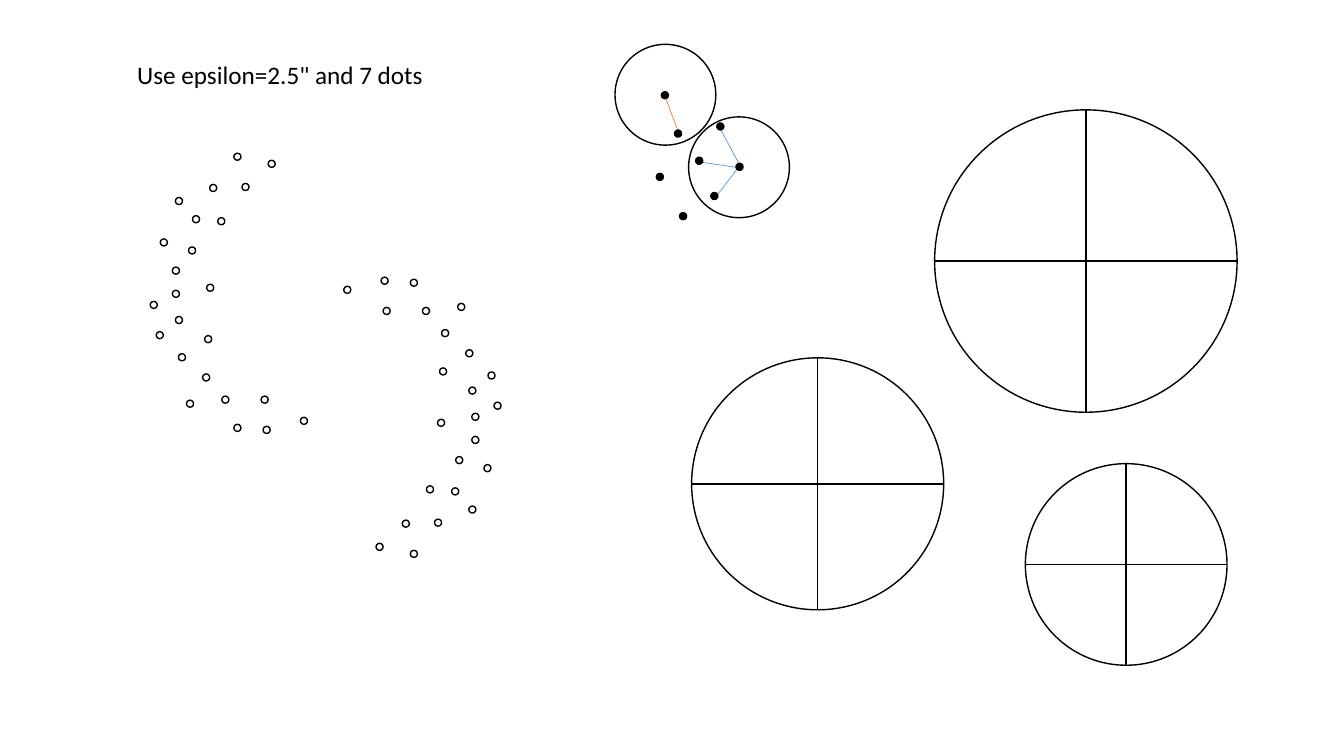
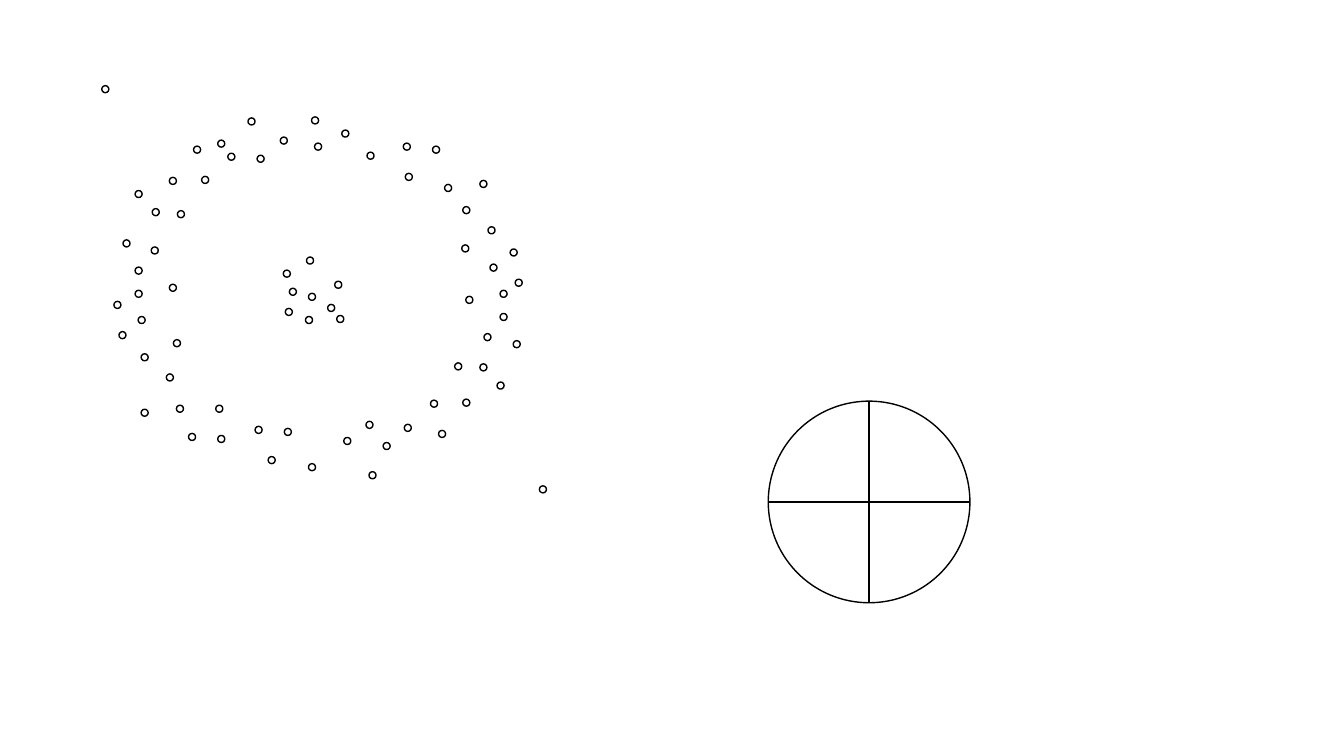
from lxml.etree import SubElement
from pptx import Presentation
from pptx.dml.color import RGBColor
from pptx.enum.shapes import MSO_CONNECTOR as Connector, MSO_SHAPE as Preset
from pptx.enum.text import MSO_ANCHOR as Anchor, MSO_AUTO_SIZE as AutoSize, PP_ALIGN as Align
from pptx.oxml.ns import qn
from pptx.util import Inches, Pt

BLACK = RGBColor(0x00, 0x00, 0x00)
WHITE = RGBColor(0xFF, 0xFF, 0xFF)
BLUE = RGBColor(0x5B, 0x9B, 0xD5)
ORANGE = RGBColor(0xED, 0x7D, 0x31)

TITLE_ONLY, BLANK = 5, 6
DOT_SIZE = 0.07

RIGHT_MOON = [
    (4.52, 4.53), (4.68, 4.1), (4.07, 5.46), (4.34, 4.16), (4.62, 3.47), (4.36, 3.65),
    (3.41, 2.84), (3.73, 5.39), (4.31, 5.15), (4.07, 2.77), (4.68, 4.33), (4.38, 3.27),
    (3.78, 2.75), (4.65, 5.02), (3.8, 3.05), (4.48, 4.84), (3.99, 5.16), (4.65, 3.84),
    (4.19, 3.05), (4.23, 4.82), (4.54, 3.01), (4.84, 3.69), (4.9, 3.99), (4.8, 4.61),
]
LEFT_MOON = [(6.39 - x, 6.98 - y) for x, y in RIGHT_MOON]

SAMPLE_DOTS = [
    (7.05, 1.91), (6.51, 1.72), (6.74, 2.11), (6.56, 0.91),
    (6.9, 1.56), (7.11, 1.22), (7.3, 1.62), (6.69, 1.29),
]
NEIGHBOUR_LINES = [
    ((7.15, 1.29), (7.36, 1.68), BLUE),
    ((6.96, 1.61), (7.3, 1.66), BLUE),
    ((7.31, 1.68), (7.11, 1.94), BLUE),
    ((6.6, 0.97), (6.74, 1.34), ORANGE),
]

RING_RIGHT = [
    (4.8, 3.31), (4.96, 2.88), (4.35, 4.27), (4.62, 2.94), (4.84, 2.25), (4.58, 2.43),
    (3.64, 1.51), (4.01, 4.21), (4.59, 3.96), (4.29, 1.45), (4.96, 3.11), (4.59, 2.05),
    (4, 1.42), (4.93, 3.79), (4.02, 1.72), (4.76, 3.61), (4.27, 3.97), (4.86, 2.62),
    (4.41, 1.83), (4.51, 3.6), (4.76, 1.79), (5.06, 2.47), (5.11, 2.77), (5.09, 3.38),
]
RING_LEFT = [
    (1.5, 2.45), (1.34, 2.88), (1.92, 1.45), (1.68, 2.82), (1.4, 3.51), (1.72, 3.37),
    (2.53, 4.23), (2.26, 1.52), (1.68, 1.76), (1.87, 4.3), (1.34, 2.65), (1.65, 3.71),
    (2.16, 4.32), (1.34, 1.89), (2.14, 4.02), (1.51, 2.07), (2, 1.75), (1.37, 3.14),
    (1.75, 4.02), (1.76, 2.09), (1.4, 4.06), (1.18, 3.29), (1.13, 2.99), (1.22, 2.38),
]
RING_TOP = [
    (2.16, 1.39), (2.55, 1.54), (2.46, 1.17), (2.78, 1.36),
    (3.09, 1.16), (3.12, 1.42), (3.39, 1.29),
]
RING_BOTTOM = [
    (2.66, 4.53), (2.82, 4.25), (3.06, 4.6), (3.41, 4.34),
    (3.66, 4.68), (3.8, 4.39), (3.63, 4.18),
]
CORE = [
    (2.87, 2.86), (3.03, 3.14), (3.06, 2.91), (3.32, 2.79), (3.34, 3.13),
    (3.04, 2.55), (2.83, 3.06), (3.25, 3.02), (2.81, 2.68),
]
OUTLIERS = [(5.35, 4.82), (1.01, 0.85)]


def apply_format(target, values):
    for name, value in values.items():
        setattr(target, name, value)


class Deck:
    title_frame = {"word_wrap": False, "auto_size": AutoSize.SHAPE_TO_FIT_TEXT,
                   "vertical_anchor": Anchor.TOP}
    title_font = {"name": "Calibri", "size": Pt(18), "bold": False}

    def __init__(self):
        self.presentation = Presentation()
        apply_format(self.presentation,
                     {"slide_width": Inches(13.33), "slide_height": Inches(7.5)})
        self.slide = None

    def add_slide(self, layout):
        layouts = self.presentation.slide_layouts
        self.slide = self.presentation.slides.add_slide(layouts[layout])

    def title(self, text, left, top, width, height):
        shape = self.slide.shapes.title
        apply_format(shape, {"left": Inches(left), "top": Inches(top),
                             "width": Inches(width), "height": Inches(height)})
        apply_format(shape.text_frame, self.title_frame)
        paragraph = shape.text_frame.paragraphs[0]
        paragraph.text = text
        paragraph.alignment = Align.LEFT
        apply_format(paragraph.font, self.title_font)
        paragraph.font.color.rgb = BLACK

    def circle(self, left, top, size, fill=WHITE, parent=None):
        shapes = (parent or self.slide).shapes
        shape = shapes.add_shape(Preset.OVAL, Inches(left), Inches(top),
                                 Inches(size), Inches(size))
        shape.shadow.inherit = False
        if fill is None:
            shape.fill.background()
        else:
            shape.fill.solid()
            shape.fill.fore_color.rgb = fill
        shape.line.color.rgb = BLACK
        shape.line.width = Pt(1)

    def line(self, start, end, color=BLACK, width=1, parent=None):
        shapes = (parent or self.slide).shapes
        points = [Inches(value) for value in (*start, *end)]
        connector = shapes.add_connector(Connector.STRAIGHT, *points)
        connector.line.color.rgb = color
        connector.line.width = Pt(width)
        SubElement(connector.element.spPr, qn("a:effectLst"))

    def crossed_circle(self, left, top, size):
        group = self.slide.shapes.add_group_shape()
        middle_x, middle_y = left + size / 2, top + size / 2
        self.circle(left, top, size, parent=group)
        self.line((middle_x, top), (middle_x, top + size), parent=group)
        self.line((left, middle_y), (left + size, middle_y), parent=group)

    def dots(self, points, fill=None, parent=None):
        for left, top in points:
            self.circle(left, top, DOT_SIZE, fill, parent)

    def dot_group(self, points):
        self.dots(points, parent=self.slide.shapes.add_group_shape())


def build_moons(deck):
    deck.add_slide(TITLE_ONLY)
    deck.title('Use epsilon=2.5" and 7 dots', 1.26, 0.54, 3.07, 0.4)
    for left, top, size in [(9.27, 1.09, 3), (10.17, 4.6, 2), (6.86, 3.55, 2.5)]:
        deck.crossed_circle(left, top, size)
    for left, top in [(6.83, 1.16), (6.1, 0.44)]:
        deck.circle(left, top, 1)
    for start, end, color in NEIGHBOUR_LINES:
        deck.line(start, end, color, 0.5)
    deck.dot_group(RIGHT_MOON + LEFT_MOON)
    deck.dots(SAMPLE_DOTS, BLACK)


def build_ring(deck):
    deck.add_slide(BLANK)
    deck.crossed_circle(7.62, 3.98, 2)
    deck.dot_group(RING_RIGHT + RING_LEFT + RING_TOP + RING_BOTTOM + CORE + OUTLIERS)


def main():
    deck = Deck()
    build_moons(deck)
    build_ring(deck)
    deck.presentation.save("out.pptx")


if __name__ == "__main__":
    main()
